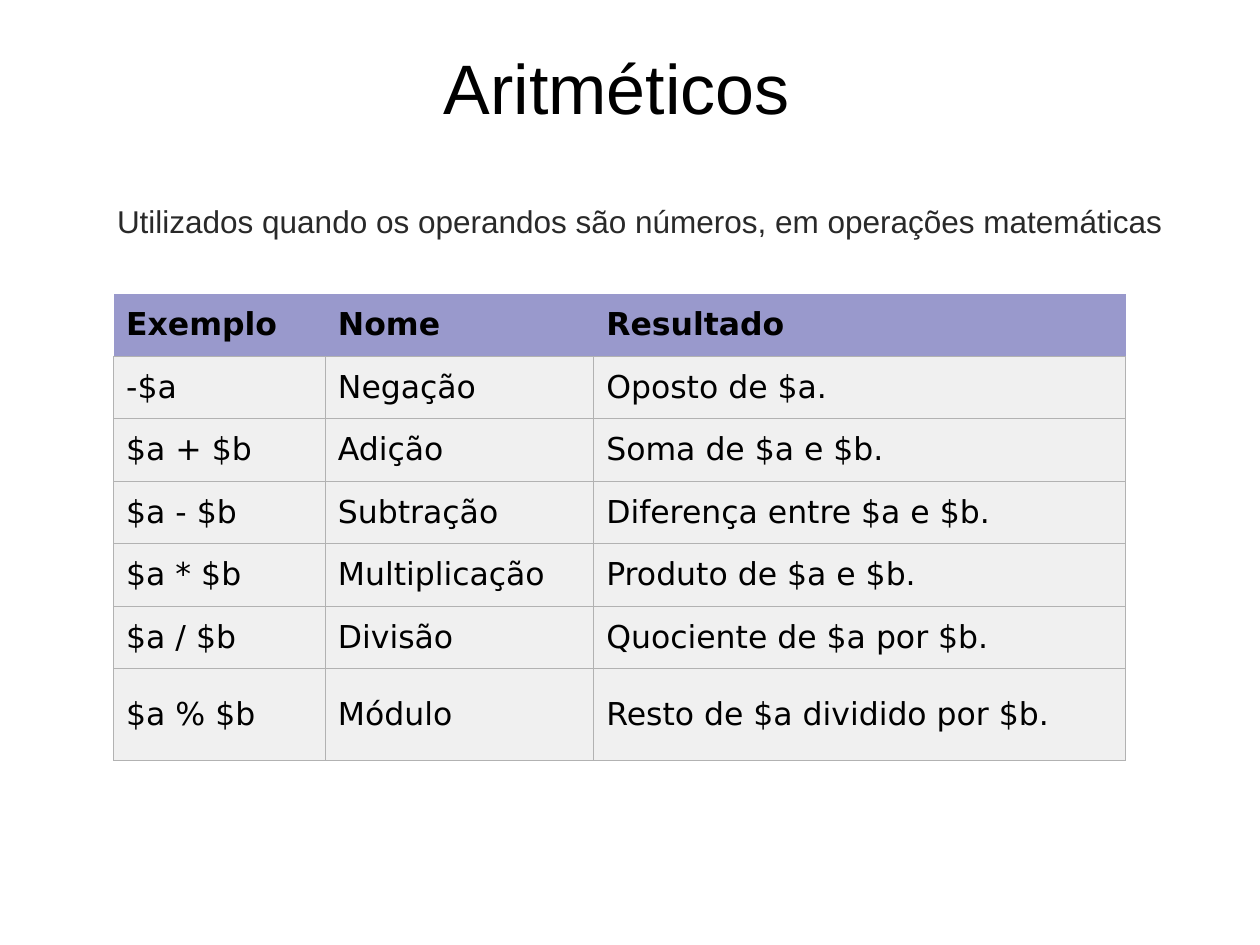
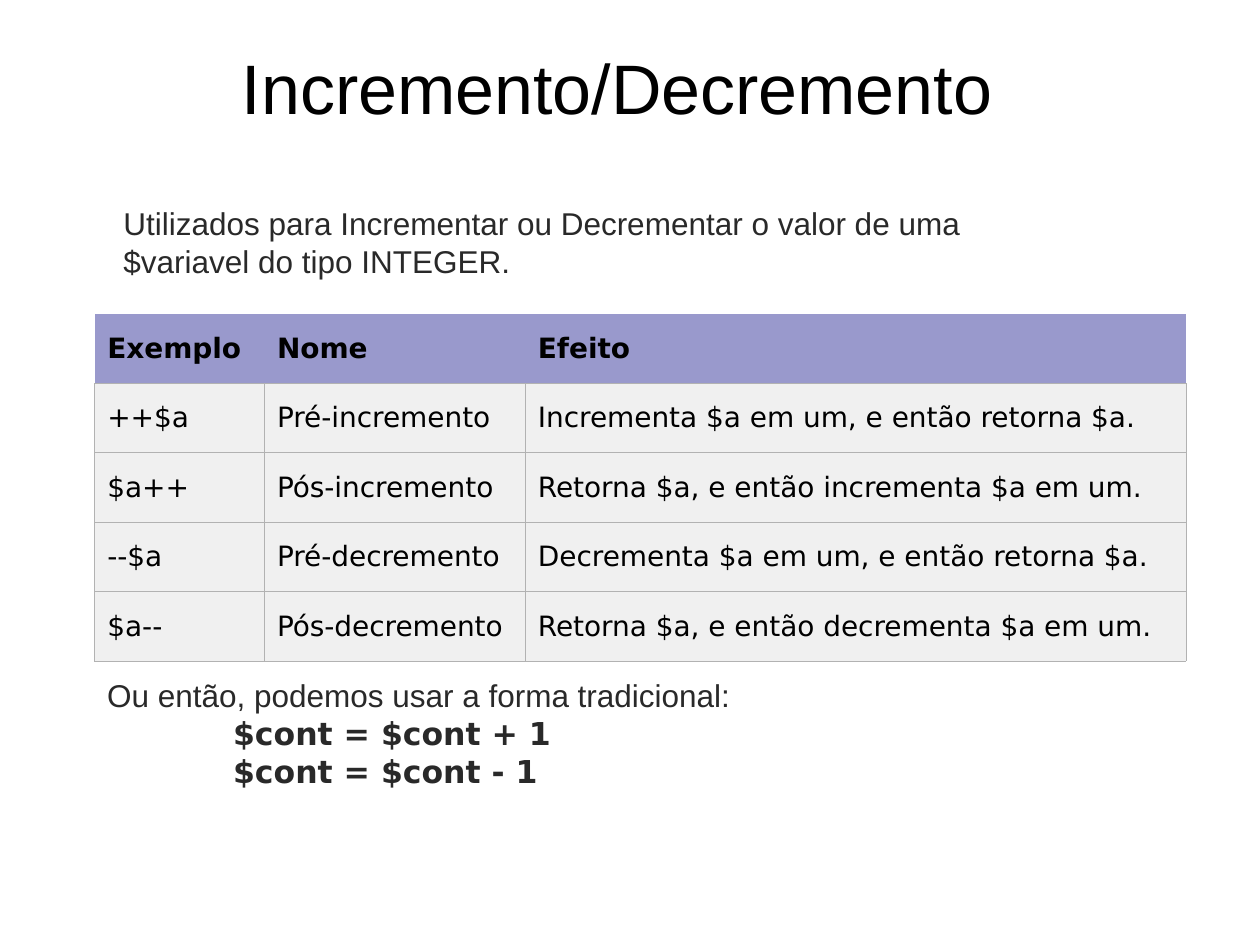
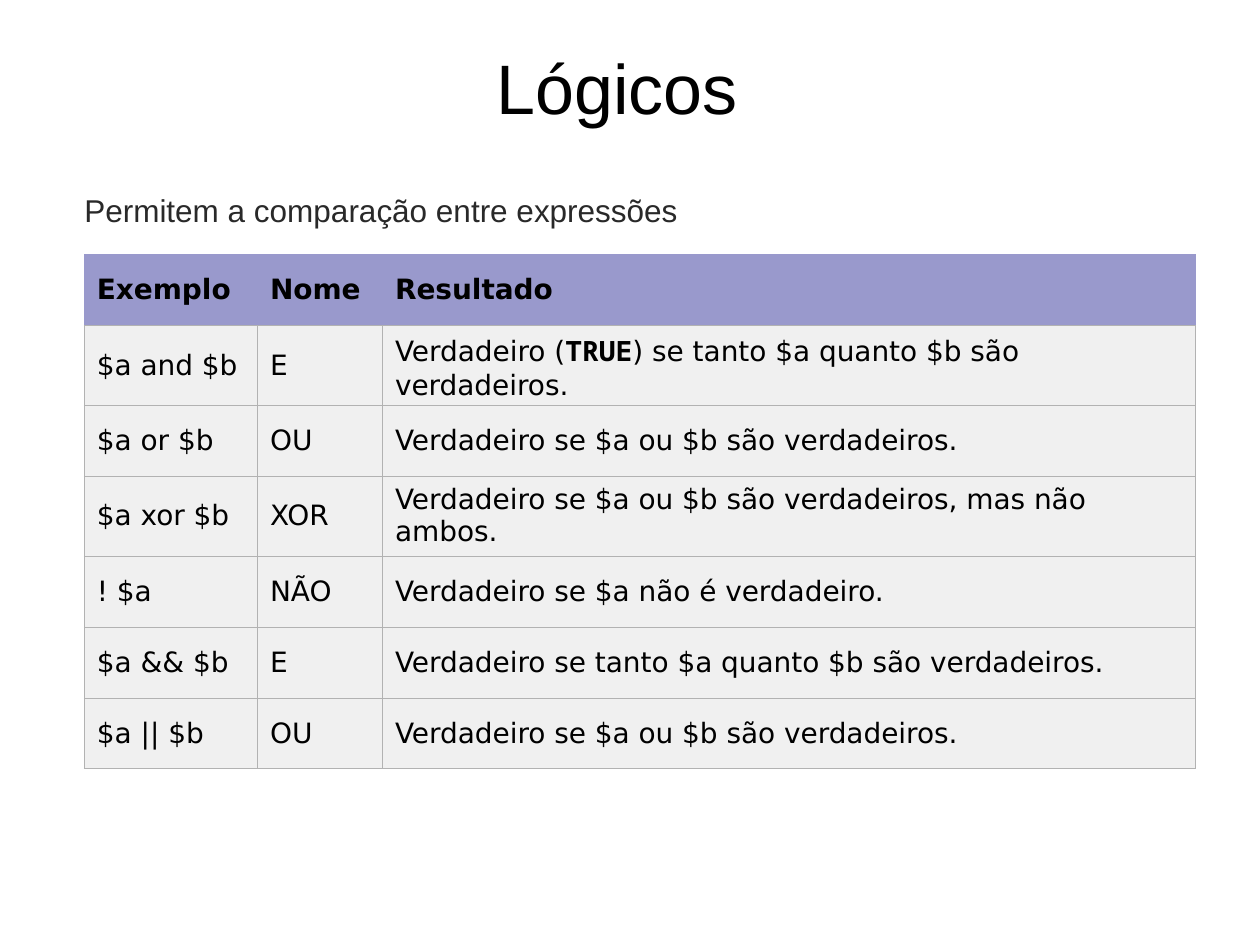
from dataclasses import dataclass
from typing import NamedTuple

from lxml.etree import SubElement
from pptx import Presentation
from pptx.dml.color import RGBColor
from pptx.enum.text import MSO_ANCHOR, MSO_AUTO_SIZE, PP_ALIGN
from pptx.oxml.ns import qn
from pptx.slide import Slide
from pptx.table import _Cell
from pptx.text.text import _Paragraph
from pptx.util import Cm, Pt

BLACK = RGBColor(0x00, 0x00, 0x00)
DARK_GRAY = RGBColor(0x29, 0x29, 0x29)
HEADER_FILL = RGBColor(0x99, 0x99, 0xCC)
BODY_FILL = RGBColor(0xF0, 0xF0, 0xF0)
BORDER = RGBColor(0xB2, 0xB2, 0xB2)
BORDER_WIDTH = Pt(0.45)
PLAIN_TABLE_STYLE = "{2D5ABB26-0587-4C30-8999-92F81FD0307C}"

TITLE_FORMAT = {"name": "Arial", "size": Pt(40), "bold": False}
NOTE_FORMAT = {"name": "Arial", "size": Pt(18), "bold": False}
CODE_FORMAT = {"name": "DejaVu Sans", "size": Pt(18), "bold": True}
CONSTANT_FORMAT = {"name": "Noto Sans Mono", "bold": True}


class Box(NamedTuple):
    left: float
    top: float
    width: float
    height: float


class Span(NamedTuple):
    """A piece of cell text with the format that differs from its cell."""
    text: str
    changes: dict


class Line(NamedTuple):
    text: str
    text_format: dict = NOTE_FORMAT
    indent: float = 0


@dataclass
class Note:
    box: Box
    lines: list[Line]


@dataclass
class OperatorTable:
    left: float
    top: float
    column_widths: list[float]
    row_heights: list[float]
    font_size: int
    rows: list[tuple]


@dataclass
class OperatorSlide:
    title: str
    items: list[Note | OperatorTable]


TITLE_BOX = Box(2.49, 0.13, 19.89, 2.59)

SLIDES = [
    OperatorSlide("Aritméticos", [
        Note(Box(2.11, 3.94, 21.79, 1.02), [
            Line("Utilizados quando os operandos são números, em operações matemáticas"),
        ]),
        OperatorTable(2.29, 5.92, [4.27, 5.41, 10.72], [1.26] * 6 + [1.85], 18, [
            ("Exemplo", "Nome", "Resultado"),
            ("-$a", "Negação", "Oposto de $a."),
            ("$a + $b", "Adição", "Soma de $a e $b."),
            ("$a - $b", "Subtração", "Diferença entre $a e $b."),
            ("$a * $b", "Multiplicação", "Produto de $a e $b."),
            ("$a / $b", "Divisão", "Quociente de $a por $b."),
            ("$a % $b", "Módulo", "Resto de $a dividido por $b."),
        ]),
    ]),
    OperatorSlide("Incremento/Decremento", [
        OperatorTable(1.91, 6.33, [3.42, 5.26, 13.32], [1.4] * 5, 16, [
            ("Exemplo", "Nome", "Efeito"),
            ("++$a", "Pré-incremento", "Incrementa $a em um, e então retorna $a."),
            ("$a++", "Pós-incremento", "Retorna $a, e então incrementa $a em um."),
            ("--$a", "Pré-decremento", "Decrementa $a em um, e então retorna $a."),
            ("$a--", "Pós-decremento", "Retorna $a, e então decrementa $a em um."),
        ]),
        Note(Box(2.24, 3.99, 19.86, 1.78), [
            Line("Utilizados para Incrementar ou Decrementar o valor de uma"),
            Line("$variavel do tipo INTEGER."),
        ]),
        Note(Box(1.91, 13.51, 14.45, 2.54), [
            Line("Ou então, podemos usar a forma tradicional:"),
            Line("$cont = $cont + 1", CODE_FORMAT, 2.54),
            Line("$cont = $cont - 1", CODE_FORMAT, 2.54),
        ]),
    ]),
    OperatorSlide("Lógicos", [
        OperatorTable(1.7, 5.13, [3.49, 2.52, 16.39], [1.43, 1.6] * 2 + [1.43] * 3, 16, [
            ("Exemplo", "Nome", "Resultado"),
            ("$a and $b", "E", (
                Span("Verdadeiro (", {}),
                Span("TRUE", CONSTANT_FORMAT),
                Span(") se tanto $a quanto $b são verdadeiros.", {}),
            )),
            ("$a or $b", "OU", "Verdadeiro se $a ou $b são verdadeiros."),
            ("$a xor $b", "XOR", "Verdadeiro se $a ou $b são verdadeiros, mas não ambos."),
            ("! $a", "NÃO", "Verdadeiro se $a não é verdadeiro."),
            ("$a && $b", "E", "Verdadeiro se tanto $a quanto $b são verdadeiros."),
            ("$a || $b", "OU", "Verdadeiro se $a ou $b são verdadeiros."),
        ]),
        Note(Box(1.45, 3.73, 12.7, 1.02), [
            Line("Permitem a comparação entre expressões"),
        ]),
    ]),
]


def add_run(paragraph: _Paragraph, text: str, text_format: dict, color: RGBColor) -> None:
    run = paragraph.add_run()
    run.text = text
    for attribute, value in text_format.items():
        setattr(run.font, attribute, value)
    run.font.color.rgb = color


def add_text_frame(slide: Slide, box: Box):
    frame = slide.shapes.add_textbox(*map(Cm, box)).text_frame
    frame.word_wrap = True
    return frame


def add_title(slide: Slide, title: str) -> None:
    frame = add_text_frame(slide, TITLE_BOX)
    frame.vertical_anchor = MSO_ANCHOR.BOTTOM
    paragraph = frame.paragraphs[0]
    paragraph.alignment = PP_ALIGN.CENTER
    add_run(paragraph, title, TITLE_FORMAT, BLACK)


def add_note(slide: Slide, note: Note) -> None:
    frame = add_text_frame(slide, note.box)
    frame.auto_size = MSO_AUTO_SIZE.SHAPE_TO_FIT_TEXT
    for index, line in enumerate(note.lines):
        paragraph = frame.add_paragraph() if index else frame.paragraphs[0]
        if line.indent:
            paragraph._p.get_or_add_pPr().set("marL", str(Cm(line.indent)))
        add_run(paragraph, line.text, line.text_format, DARK_GRAY)


def add_borders(cell: _Cell, sides: str) -> None:
    """Draw the borders named by the letters L, R, T and B, in that order."""
    properties = cell._tc.get_or_add_tcPr()
    for side in sides:
        border = SubElement(properties, qn(f"a:ln{side}"), w=str(BORDER_WIDTH))
        fill = SubElement(border, qn("a:solidFill"))
        SubElement(fill, qn("a:srgbClr"), val=str(BORDER))


def fill_cell(cell: _Cell, content: str | tuple, is_header: bool, font_size: int) -> None:
    add_borders(cell, "B" if is_header else "LRTB")
    cell.fill.solid()
    cell.fill.fore_color.rgb = HEADER_FILL if is_header else BODY_FILL
    cell.vertical_anchor = MSO_ANCHOR.MIDDLE
    cell_format = {"name": "DejaVu Sans", "size": Pt(font_size), "bold": is_header}
    spans = (Span(content, {}),) if isinstance(content, str) else content
    for span in spans:
        add_run(cell.text_frame.paragraphs[0], span.text, cell_format | span.changes, BLACK)


def add_operator_table(slide: Slide, data: OperatorTable) -> None:
    box = Box(data.left, data.top, sum(data.column_widths), sum(data.row_heights))
    table = slide.shapes.add_table(
        len(data.rows), len(data.column_widths), *map(Cm, box)).table
    table.first_row = table.horz_banding = False
    table._tbl.tblPr.find(qn("a:tableStyleId")).text = PLAIN_TABLE_STYLE
    for column, width in zip(table.columns, data.column_widths):
        column.width = Cm(width)
    for index, (row, height) in enumerate(zip(table.rows, data.row_heights)):
        row.height = Cm(height)
        for cell, content in zip(row.cells, data.rows[index]):
            fill_cell(cell, content, index == 0, data.font_size)


def main() -> None:
    presentation = Presentation()
    presentation.slide_width = Cm(25.4)
    presentation.slide_height = Cm(19.05)
    blank_layout = presentation.slide_layouts[6]
    for content in SLIDES:
        slide = presentation.slides.add_slide(blank_layout)
        add_title(slide, content.title)
        for item in content.items:
            if isinstance(item, Note):
                add_note(slide, item)
            else:
                add_operator_table(slide, item)
    presentation.save("out.pptx")


if __name__ == "__main__":
    main()
